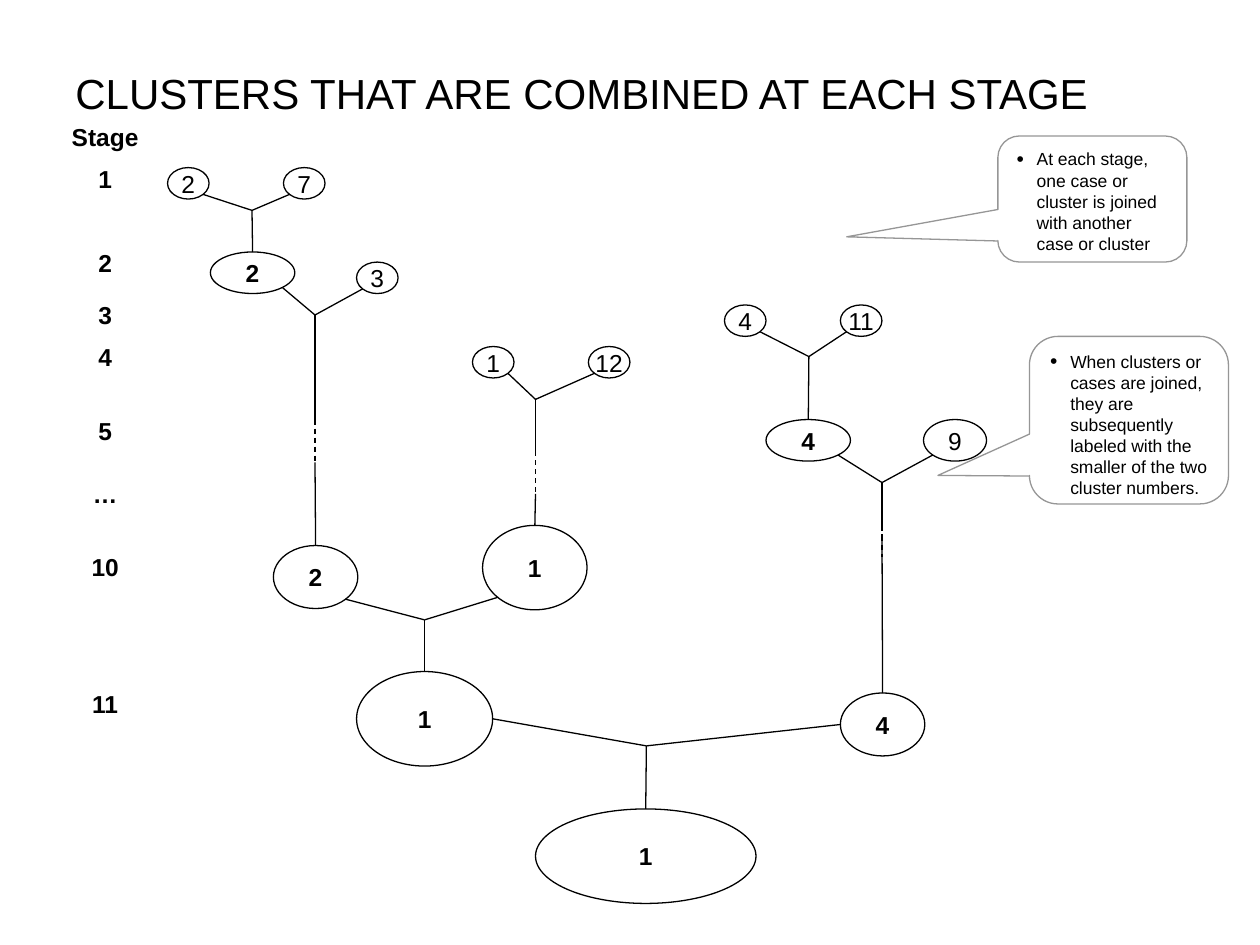
import pptx
import pptx.dml.color
import pptx.enum.dml
import pptx.enum.shapes
import pptx.enum.text
import pptx.oxml
import pptx.oxml.ns
import pptx.util
from pptx.util import Inches

BLACK = pptx.dml.color.RGBColor(0x00, 0x00, 0x00)
GRAY = pptx.dml.color.RGBColor(0x96, 0x96, 0x96)
SHAPE = pptx.enum.shapes.MSO_SHAPE
ANCHOR = pptx.enum.text.MSO_ANCHOR
ALIGN = pptx.enum.text.PP_ALIGN
SOLID = pptx.enum.dml.MSO_LINE.SOLID
DASH = pptx.enum.dml.MSO_LINE.DASH
NS = pptx.oxml.ns.nsdecls("a")

prs = pptx.Presentation()
prs.slide_width, prs.slide_height = Inches(10), Inches(7.5)
s = prs.slides.add_slide(prs.slide_layouts[6])


def write(sp, text, size, bold=False, align=ALIGN.CENTER, anchor=ANCHOR.MIDDLE, wrap=False, before=0):
    tf = sp.text_frame
    p = tf.paragraphs[0]
    r = p.add_run()
    r.text = text
    r.font.color.rgb = BLACK
    formats = [
        (tf, {"word_wrap": wrap, "vertical_anchor": anchor}),
        (p, {"alignment": align, "space_before": pptx.util.Pt(before)}),
        (r.font, {"name": "Arial", "size": pptx.util.Pt(size), "bold": bold}),
    ]
    for obj, values in formats:
        for name, value in values.items():
            setattr(obj, name, value)
    return p


def add_line(x1, y1, x2, y2, dash=SOLID):
    c = s.shapes.add_connector(pptx.enum.shapes.MSO_CONNECTOR.STRAIGHT,
                               Inches(x1), Inches(y1), Inches(x2), Inches(y2))
    c.line.color.rgb = BLACK
    c.line.width = pptx.util.Pt(0.75)
    c.line.dash_style = dash
    c._element.spPr.append(pptx.oxml.parse_xml(f"<a:effectLst {NS}/>"))
    return c


title = s.shapes.add_textbox(Inches(0.5), Inches(0.3), Inches(9), Inches(0.87))
write(title, "CLUSTERS THAT ARE COMBINED AT EACH STAGE", 24, align=ALIGN.LEFT, wrap=True)

nodes = {
    "case 2": (1.33, 1.33, 0.33, 0.25),
    "case 7": (2.25, 1.33, 0.33, 0.25),
    "cluster 2 early": (1.67, 2, 0.67, 0.33),
    "case 3": (2.83, 2.08, 0.33, 0.25),
    "cluster 2 late": (2.17, 4.33, 0.67, 0.5),
    "case 1": (3.75, 2.75, 0.33, 0.25),
    "case 12": (4.67, 2.75, 0.33, 0.25),
    "cluster 1 early": (3.83, 4.17, 0.83, 0.67),
    "cluster 1 late": (2.83, 5.33, 1.08, 0.75),
    "case 4": (5.75, 2.42, 0.33, 0.25),
    "case 11": (6.67, 2.42, 0.33, 0.25),
    "cluster 4 early": (6.08, 3.33, 0.67, 0.33),
    "case 9": (7.33, 3.33, 0.5, 0.33),
    "cluster 4 late": (6.67, 5.5, 0.67, 0.5),
    "cluster 1 final": (4.25, 6.42, 1.75, 0.75),
}
ellipses = {}
for name, box in nodes.items():
    sp = s.shapes.add_shape(SHAPE.OVAL, *map(Inches, box))
    sp.shadow.inherit = False
    sp.fill.background()
    sp.line.color.rgb = BLACK
    sp.line.width = pptx.util.Pt(0.75)
    kind, label = name.split()[:2]
    write(sp, label, 14, bold=kind == "cluster", before=4.4)
    ellipses[name] = sp

DIAGONAL, SIDE = (0.35, 0.35), (0.5, 0)
joins = [
    ("case 2", "case 7", "cluster 2 early", DIAGONAL, 2, 1.67, []),
    ("cluster 2 early", "case 3", "cluster 2 late", DIAGONAL, 2.5, 2.5,
     [(2.5, 3.33, SOLID), (3.33, 3.67, DASH)]),
    ("case 1", "case 12", "cluster 1 early", DIAGONAL, 4.25, 3.17,
     [(3.17, 3.58, SOLID), (3.58, 3.92, DASH)]),
    ("cluster 2 late", "cluster 1 early", "cluster 1 late", DIAGONAL, 3.37, 4.92, []),
    ("case 4", "case 11", "cluster 4 early", DIAGONAL, 6.42, 2.83, []),
    ("cluster 4 early", "case 9", "cluster 4 late", DIAGONAL, 7, 3.83,
     [(3.83, 4.17, SOLID), (4.17, 4.25, DASH)]),
    ("cluster 1 late", "cluster 4 late", "cluster 1 final", SIDE, 5.13, 5.92, []),
]
for left, right, merged, (dx, dy), x, y, segments in joins:
    for name, sign in ((left, 1), (right, -1)):
        nx, ny, w, h = nodes[name]
        add_line(nx + w * (0.5 + sign * dx), ny + h * (0.5 + dy), x, y)
    for y1, y2, dash in segments:
        add_line(x, y1, x, y2, dash)
    start = segments[-1][1] if segments else y
    stem = add_line(x, start, x, nodes[merged][1])
    stem.end_connect(ellipses[merged], 0)
add_line(7, 4.25, 7, 4.42, DASH)

stages = {"Stage": 0.92, "1": 1.25, "2": 1.92, "3": 2.33, "4": 2.67,
          "5": 3.25, "…": 3.75, "10": 4.33, "11": 5.42}
for label, top in stages.items():
    sp = s.shapes.add_textbox(Inches(0.42), Inches(top), Inches(0.83), Inches(0.33))
    write(sp, label, 14, bold=True, before=4.4)

callouts = [
    ((7.92, 1.08, 1.5, 1), (-1.3, 0.3, 0.17),
     "At each stage, one case or cluster is joined with another case or cluster"),
    ((8.17, 2.67, 1.58, 1.33), (-0.96, 0.33, 0.17),
     "When clusters or cases are joined, they are subsequently labeled with the "
     "smaller of the two cluster numbers."),
]
for box, adjustments, text in callouts:
    sp = s.shapes.add_shape(SHAPE.ROUNDED_RECTANGULAR_CALLOUT, *map(Inches, box))
    for i, value in enumerate(adjustments):
        sp.adjustments[i] = value
    sp.shadow.inherit = False
    sp.fill.background()
    sp.line.color.rgb = GRAY
    sp.line.width = pptx.util.Pt(0.75)
    p = write(sp, text, 10, align=ALIGN.LEFT, anchor=ANCHOR.TOP, wrap=True, before=3.1)
    pPr = p._p.get_or_add_pPr()
    pPr.set("marL", str(Inches(0.16)))
    pPr.set("indent", str(Inches(-0.16)))
    for xml in (f'<a:buClr {NS}><a:srgbClr val="{BLACK}"/></a:buClr>',
                f'<a:buSzPct {NS} val="120000"/>',
                f'<a:buFont {NS} typeface="Arial"/>',
                f'<a:buChar {NS} char="•"/>'):
        pPr.append(pptx.oxml.parse_xml(xml))

prs.save("out.pptx")
